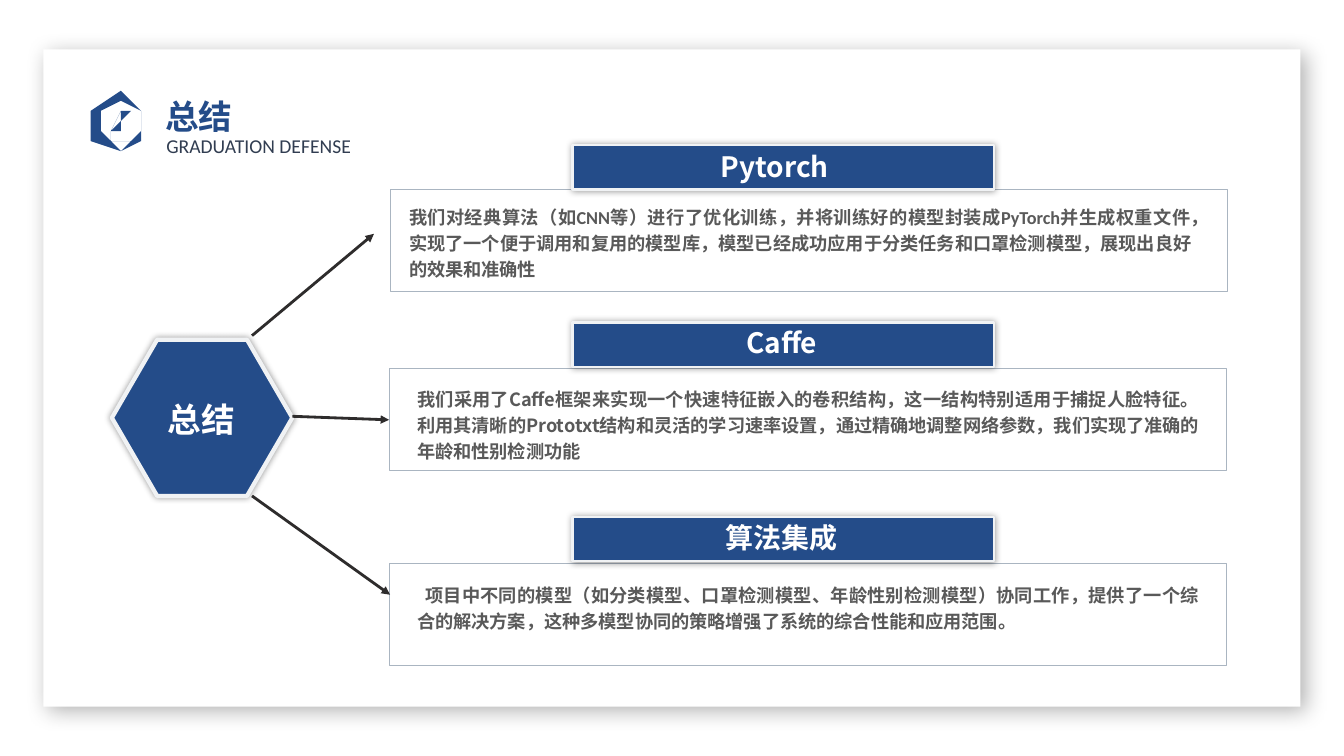
"""Build the summary slide: one hexagon pointing at three captioned panels."""
from dataclasses import dataclass
from typing import Optional

import pptx
import pptx.dml.color
import pptx.enum.shapes
import pptx.enum.text
import pptx.oxml
import pptx.oxml.ns
import pptx.util

RGB = pptx.dml.color.RGBColor
MSO_SHAPE = pptx.enum.shapes.MSO_SHAPE
ALIGN = pptx.enum.text.PP_ALIGN

NAVY = RGB(0x24, 0x4C, 0x89)
SLATE = RGB(0x31, 0x3D, 0x51)
GREY = RGB(0x59, 0x59, 0x59)
INK = RGB(0x2E, 0x2C, 0x2C)
MIST = RGB(0xF0, 0xF2, 0xF4)
EDGE = RGB(0xAA, 0xB5, 0xC1)
WHITE = RGB(0xFF, 0xFF, 0xFF)

CELL = pptx.util.Inches(0.1)
COLUMNS, ROWS = 133.33, 75
NOTO = "Noto Sans CJK SC"

ICON_CONTOURS = [
    [(11.8, 9.4), (14.2, 10.8), (14.2, 13.7), (11.8, 15.1), (9.4, 13.7), (9.4, 10.8)],
    [(11.8, 9.9), (13.8, 11.1), (13.8, 13.4), (11.8, 14.6), (9.8, 13.4), (9.8, 11.1)],
    [(11.4, 13.6), (12.7, 13.6), (12.8, 13.65), (12.7, 13.7), (11.4, 13.7), (11.3, 13.65)],
    [(11.4, 12.9), (12.1, 11.6), (12.4, 11.8), (11.7, 13.1)],
    [(10.9, 12.6), (11.6, 11.3), (11.9, 11.4), (11.1, 12.7)],
    [(10.7, 13.6), (10.8, 13), (11.3, 13.3), (10.8, 13.6)],
    [(11.8, 10.9), (11.7, 11.1), (12.5, 11.6), (12.6, 11.4)],
    [(12, 10.7), (12.2, 10.6), (12.7, 10.9), (12.8, 11.1), (12.7, 11.3), (11.9, 10.8)],
]


@dataclass(frozen=True)
class Area:
    """A rectangle in grid columns and rows."""
    left: float
    top: float
    width: float
    height: float

    def emu(self) -> list[int]:
        """Return the rectangle in slide units."""
        return [round(n * CELL) for n in (self.left, self.top, self.width, self.height)]


@dataclass(frozen=True)
class Style:
    """How a line of text looks."""
    size: float
    font: str
    color: RGB
    bold: bool = True
    align: Optional[ALIGN] = None
    spacing: object = 1.2
    indent: float = 0


@dataclass(frozen=True)
class Shadow:
    """An outer shadow: points, percent and degrees."""
    alpha: int
    blur: int
    distance: int
    angle: int


@dataclass(frozen=True)
class Panel:
    """A captioned paragraph and where its parts sit."""
    heading: str
    body: str
    font: str
    left: float
    top: float
    banner_top: float
    heading_left: float
    heading_top: float
    body_left: float
    body_top: float
    body_height: float = 8.7
    indent: float = 0


@dataclass(frozen=True)
class Arrow:
    """An arrow between two grid points, joined to its panel if asked."""
    start: tuple[float, float]
    end: tuple[float, float]
    joined: bool = False


SOFT = Shadow(30, 15, 5, 45)
GLOW = Shadow(40, 5, 0, 0)

PANELS = [
    Panel("Pytorch", "我们对经典算法（如CNN等）进行了优化训练，并将训练好的模型封装成PyTorch并生成权重文件，"
          "实现了一个便于调用和复用的模型库，模型已经成功应用于分类任务和口罩检测模型，展现出良好的效果和准确性",
          "Calibri", 38.7, 18.8, 14.4, 58.7, 13.7, 39.6, 19.5),
    Panel("Caffe", "我们采用了Caffe框架来实现一个快速特征嵌入的卷积结构，这一结构特别适用于捕捉人脸特征。"
          "利用其清晰的Prototxt结构和灵活的学习速率设置，通过精确地调整网络参数，我们实现了准确的年龄和性别检测功能",
          NOTO, 38.6, 36.6, 32, 59.4, 31.1, 40.4, 37.6),
    Panel("算法集成", "项目中不同的模型（如分类模型、口罩检测模型、年龄性别检测模型）协同工作，提供了一个综合的解决方案，"
          "这种多模型协同的策略增强了系统的综合性能和应用范围。",
          "Calibri", 38.6, 55.9, 51.3, 59.4, 50.5, 40.4, 57, 6.1, 0.8),
]
ARROWS = [
    Arrow((25, 33.3), (37.1, 23.2)),
    Arrow((29, 41.3), (38.6, 41.7), joined=True),
    Arrow((25, 49.2), (38.7, 59)),
]


def write(frame, text: str, style: Style) -> None:
    """Put one styled run into a text frame."""
    frame.word_wrap = True
    frame.vertical_anchor = pptx.enum.text.MSO_ANCHOR.TOP
    paragraph = frame.paragraphs[0]
    paragraph.alignment = style.align
    paragraph.line_spacing = style.spacing
    if style.indent:
        properties = paragraph._p.get_or_add_pPr()
        properties.set("marL", "0")
        properties.set("indent", str(round(style.indent * CELL)))
    run = paragraph.add_run()
    run.text = text
    run.font.size = pptx.util.Pt(style.size)
    run.font.name = style.font
    run.font.bold = style.bold
    run.font.color.rgb = style.color
    east_asian = pptx.oxml.parse_xml(f'<a:ea {pptx.oxml.ns.nsdecls("a")} typeface="{NOTO}"/>')
    run.font._element.find(pptx.oxml.ns.qn("a:latin")).addnext(east_asian)


def add_text(shapes, area: Area, text: str, style: Style):
    """Add a text box and return its frame."""
    frame = shapes.add_textbox(*area.emu()).text_frame
    write(frame, text, style)
    return frame


def paint(shape, fill: RGB, line: Optional[RGB] = None, width: float = 0,
          shadow: Optional[Shadow] = None) -> None:
    """Give a shape its fill, outline and shadow."""
    shape.fill.solid()
    shape.fill.fore_color.rgb = fill
    if line is None:
        shape.line.fill.background()
    else:
        shape.line.color.rgb = line
        shape.line.width = pptx.util.Pt(width)
    shape.shadow.inherit = False
    if shadow:
        effects = shape.element.spPr.find(pptx.oxml.ns.qn("a:effectLst"))
        effects.append(pptx.oxml.parse_xml(
            f'<a:outerShdw {pptx.oxml.ns.nsdecls("a")} blurRad="{shadow.blur * 12700}" '
            f'dist="{shadow.distance * 12700}" dir="{shadow.angle * 60000}" algn="ctr" '
            f'rotWithShape="0"><a:srgbClr val="000000"><a:alpha val="{shadow.alpha * 1000}"/>'
            '</a:srgbClr></a:outerShdw>'))


def add_icon(shapes) -> None:
    """Draw the pencil in its hexagonal ring."""
    first, *others = ICON_CONTOURS
    builder = shapes.build_freeform(*first[0], scale=CELL)
    builder.add_line_segments(first[1:], close=True)
    for contour in others:
        builder.move_to(*contour[0])
        builder.add_line_segments(contour[1:], close=True)
    paint(builder.convert_to_shape(), NAVY)


def add_panel(shapes, panel: Panel):
    """Draw a panel and return its frame rectangle."""
    box = shapes.add_shape(MSO_SHAPE.RECTANGLE, *Area(panel.left, panel.top, 83.1, 10.1).emu())
    paint(box, WHITE, EDGE)
    banner = shapes.add_shape(MSO_SHAPE.RECTANGLE, *Area(56.8, panel.banner_top, 41.8, 4.4).emu())
    paint(banner, NAVY, MIST, 1.5, GLOW)
    add_text(shapes, Area(panel.heading_left, panel.heading_top, 36.3, 4.8), panel.heading,
             Style(20, NOTO, WHITE, align=ALIGN.CENTER))
    add_text(shapes, Area(panel.body_left, panel.body_top, 79.5, panel.body_height), panel.body,
             Style(13, panel.font, GREY, align=ALIGN.JUSTIFY, indent=panel.indent))
    return box


def add_arrow(shapes, arrow: Arrow, box) -> None:
    """Draw a hairline arrow towards a panel."""
    ends = [round(n * CELL) for n in (*arrow.start, *arrow.end)]
    connector = shapes.add_connector(pptx.enum.shapes.MSO_CONNECTOR.STRAIGHT, *ends)
    if arrow.joined:
        connector.end_connect(box, 1)
    connector.line.color.rgb = INK
    connector.line.width = 0
    namespace = pptx.oxml.ns.nsdecls("a")
    connector.line._get_or_add_ln().append(
        pptx.oxml.parse_xml(f'<a:tailEnd {namespace} type="triangle"/>'))
    connector.element.spPr.append(pptx.oxml.parse_xml(f'<a:effectLst {namespace}/>'))


def main() -> None:
    """Build and save the slide."""
    deck = pptx.Presentation()
    deck.slide_width, deck.slide_height = round(COLUMNS * CELL), ROWS * CELL
    slide = deck.slides.add_slide(deck.slide_layouts[5])
    shapes = slide.shapes

    card = shapes.add_shape(MSO_SHAPE.RECTANGLE, *Area(4.3, 4.9, 124.7, 65.2).emu())
    paint(card, WHITE, shadow=SOFT)
    add_icon(shapes)
    subtitle = add_text(shapes, Area(16.5, 12.4, 21.7, 3.4), "GRADUATION DEFENSE",
                        Style(14, "Calibri", SLATE, bold=False, spacing=pptx.util.Pt(23)))
    subtitle.margin_left = subtitle.margin_top = subtitle.margin_right = 0

    title = shapes.title
    title.left, title.top, title.width, title.height = Area(15.4, 8.2, 39.7, 5).emu()
    write(title.text_frame, "总结", Style(24, "Karla", NAVY, align=ALIGN.LEFT))
    title.text_frame.auto_size = pptx.enum.text.MSO_AUTO_SIZE.NONE
    shapes.element.append(title.element)

    hexagon = shapes.add_shape(MSO_SHAPE.HEXAGON, *Area(11.1, 33.7, 17.9, 15.5).emu())
    hexagon.adjustments[0] = 0.29
    paint(hexagon, NAVY, MIST, 3, GLOW)
    add_text(shapes, Area(13.5, 38.3, 13, 5.5), "总结",
             Style(24, NOTO, WHITE, align=ALIGN.CENTER))

    for panel, arrow in zip(PANELS, ARROWS):
        add_arrow(shapes, arrow, add_panel(shapes, panel))
    deck.save("out.pptx")


if __name__ == "__main__":
    main()
